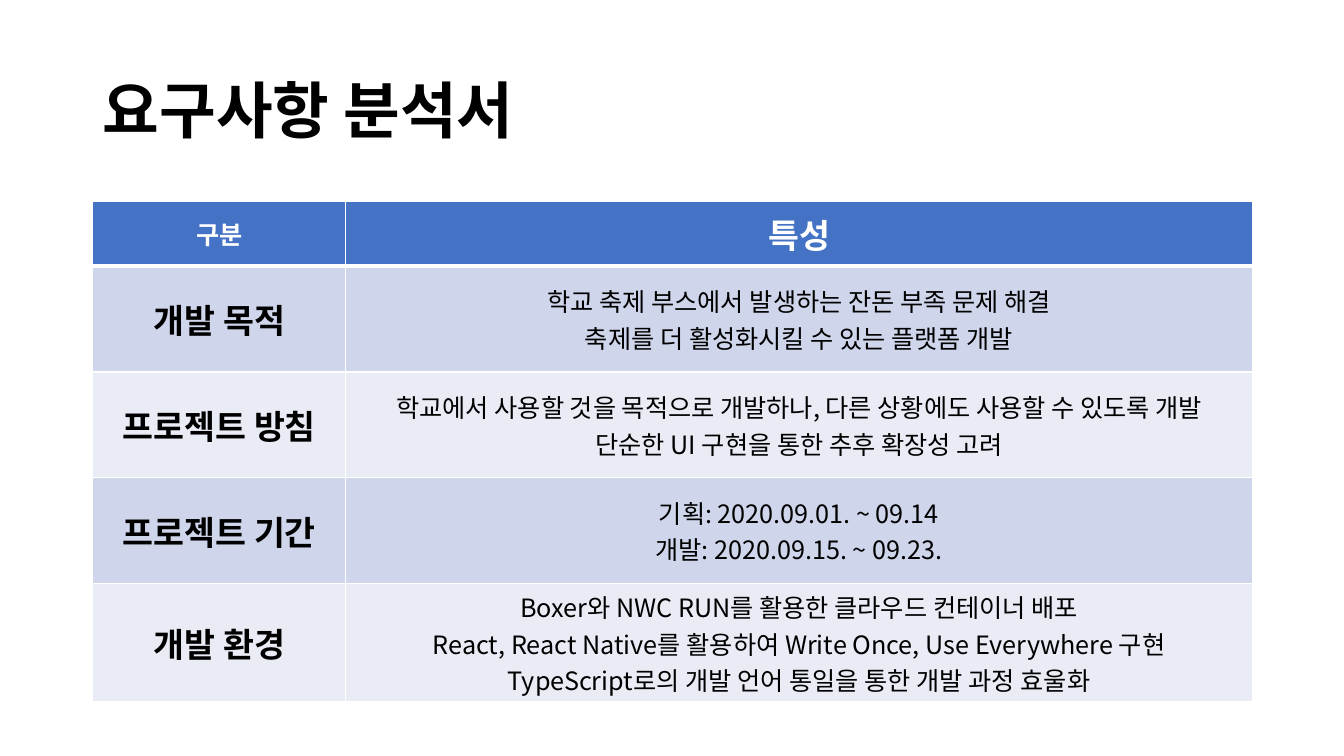
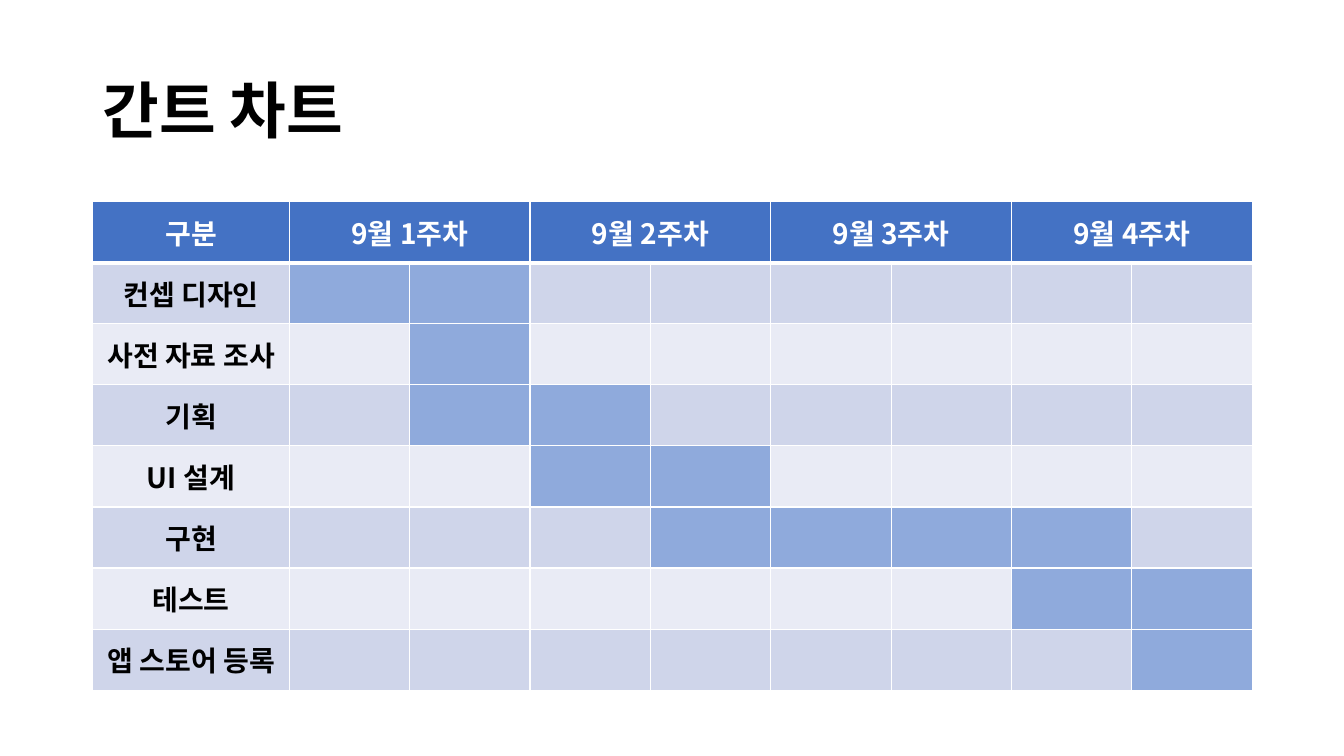
from lxml.etree import SubElement
from pptx import Presentation
from pptx.dml.color import RGBColor
from pptx.enum.text import MSO_ANCHOR, PP_ALIGN
from pptx.oxml.ns import qn
from pptx.util import Inches, Pt

FONT = "Noto Sans CJK KR"
COLORS = {
    "text": "000000",
    "white": "FFFFFF",
    "header": "4472C4",
    "band_dark": "CFD5EA",
    "band_light": "E9EBF5",
    "active": "8FAADC",
}
TITLE_BOX = (0.92, 0.4, 11.5, 1.45)
REQUIREMENTS_BOX = (0.92, 2, 11.5, 4.96)
GANTT_BOX = (0.92, 2, 11.5, 4.85)

REQUIREMENTS = [
    ("개발 목적", ["학교 축제 부스에서 발생하는 잔돈 부족 문제 해결",
               "축제를 더 활성화시킬 수 있는 플랫폼 개발"]),
    ("프로젝트 방침", ["학교에서 사용할 것을 목적으로 개발하나, 다른 상황에도 사용할 수 있도록 개발",
                 "단순한 UI 구현을 통한 추후 확장성 고려"]),
    ("프로젝트 기간", ["기획: 2020.09.01. ~ 09.14", "개발: 2020.09.15. ~ 09.23."]),
    ("개발 환경", ["Boxer와 NWC RUN를 활용한 클라우드 컨테이너 배포",
               "React, React Native를 활용하여 Write Once, Use Everywhere 구현",
               "TypeScript로의 개발 언어 통일을 통한 개발 과정 효울화"]),
]

WEEK_COUNT = 4
# Task name, first and last active half-week
TASKS = [
    ("컨셉 디자인", 1, 2),
    ("사전 자료 조사", 2, 2),
    ("기획", 2, 3),
    ("UI 설계", 3, 4),
    ("구현", 4, 7),
    ("테스트", 7, 8),
    ("앱 스토어 등록", 8, 8),
]


def rgb(name):
    return RGBColor.from_string(COLORS[name])


def format_text(text_frame, size, color="text", bold=True):
    for paragraph in text_frame.paragraphs:
        for run in paragraph.runs:
            font = run.font
            font.size, font.bold, font.name = Pt(size), bold, FONT
            font.color.rgb = rgb(color)
            east_asian = SubElement(run._r.get_or_add_rPr(), qn("a:ea"))
            east_asian.set("typeface", FONT)


def add_title(slide, text, box):
    text_box = slide.shapes.add_textbox(*map(Inches, box))
    text_frame = text_box.text_frame
    text_frame.word_wrap = True
    text_frame.vertical_anchor = MSO_ANCHOR.MIDDLE
    text_frame.text = text
    text_frame.paragraphs[0].line_spacing = 0.9
    format_text(text_frame, 44)


def add_borders(cell, top, bottom):
    """Draw white cell edges; top and bottom are widths in points."""
    properties = cell._tc.get_or_add_tcPr()
    for tag, width in (("a:lnL", 1), ("a:lnR", 1), ("a:lnT", top), ("a:lnB", bottom)):
        line = SubElement(properties, qn(tag), w=str(Pt(width)))
        fill = SubElement(line, qn("a:solidFill"))
        SubElement(fill, qn("a:srgbClr"), val=COLORS["white"])


def fill_cell(cell, color):
    cell.fill.solid()
    cell.fill.fore_color.rgb = rgb(color)


def write_cell(cell, text, size, color="text", bold=True):
    cell.text_frame.text = text
    for paragraph in cell.text_frame.paragraphs:
        paragraph.alignment = PP_ALIGN.CENTER
    format_text(cell.text_frame, size, color, bold)


def add_banded_table(slide, box, column_widths, row_heights):
    """Add an empty table with a header row and alternating row fills."""
    frame = slide.shapes.add_table(
        len(row_heights), len(column_widths), *map(Inches, box))
    table = frame.table
    table.first_row = table.horz_banding = False
    for column, width in zip(table.columns, column_widths):
        column.width = Inches(width)
    for index, (row, height) in enumerate(zip(table.rows, row_heights)):
        row.height = Inches(height)
        band = "band_dark" if index % 2 else "band_light"
        for cell in row.cells:
            cell.vertical_anchor = MSO_ANCHOR.MIDDLE
            add_borders(cell, 3 if index == 1 else 1, 3 if index == 0 else 1)
            fill_cell(cell, band if index else "header")
    return table


def add_requirements(slide, box):
    """Fill the box; the last row is taller to hold three lines."""
    label_width, header_height, last_height = 2.51, 0.64, 1.17
    regular_count = len(REQUIREMENTS) - 1
    row_height = (box[3] - header_height - last_height) / regular_count
    table = add_banded_table(
        slide, box, [label_width, box[2] - label_width],
        [header_height] + [row_height] * regular_count + [last_height])
    write_cell(table.cell(0, 0), "구분", 18, "white")
    write_cell(table.cell(0, 1), "특성", 24, "white")
    for row, (label, lines) in enumerate(REQUIREMENTS, 1):
        write_cell(table.cell(row, 0), label, 24)
        write_cell(table.cell(row, 1), "\n".join(lines), 18, bold=False)


def add_gantt(slide, box):
    label_width, half_weeks, row_count = 1.95, 2 * WEEK_COUNT, len(TASKS) + 1
    half_width = (box[2] - label_width) / half_weeks
    table = add_banded_table(
        slide, box, [label_width] + [half_width] * half_weeks,
        [box[3] / row_count] * row_count)
    write_cell(table.cell(0, 0), "구분", 20, "white")
    for week in range(1, WEEK_COUNT + 1):
        header = table.cell(0, 2 * week - 1)
        header.merge(table.cell(0, 2 * week))
        write_cell(header, f"9월 {week}주차", 20, "white")
    for row, (task, first, last) in enumerate(TASKS, 1):
        write_cell(table.cell(row, 0), task, 20)
        for column in range(first, last + 1):
            fill_cell(table.cell(row, column), "active")


def main():
    presentation = Presentation()
    presentation.slide_width = Inches(13.33)
    presentation.slide_height = Inches(7.5)
    blank_layout = presentation.slide_layouts[6]
    for title, add_content, box in (
            ("요구사항 분석서", add_requirements, REQUIREMENTS_BOX),
            ("간트 차트", add_gantt, GANTT_BOX)):
        slide = presentation.slides.add_slide(blank_layout)
        add_title(slide, title, TITLE_BOX)
        add_content(slide, box)
    presentation.save("out.pptx")


if __name__ == "__main__":
    main()
